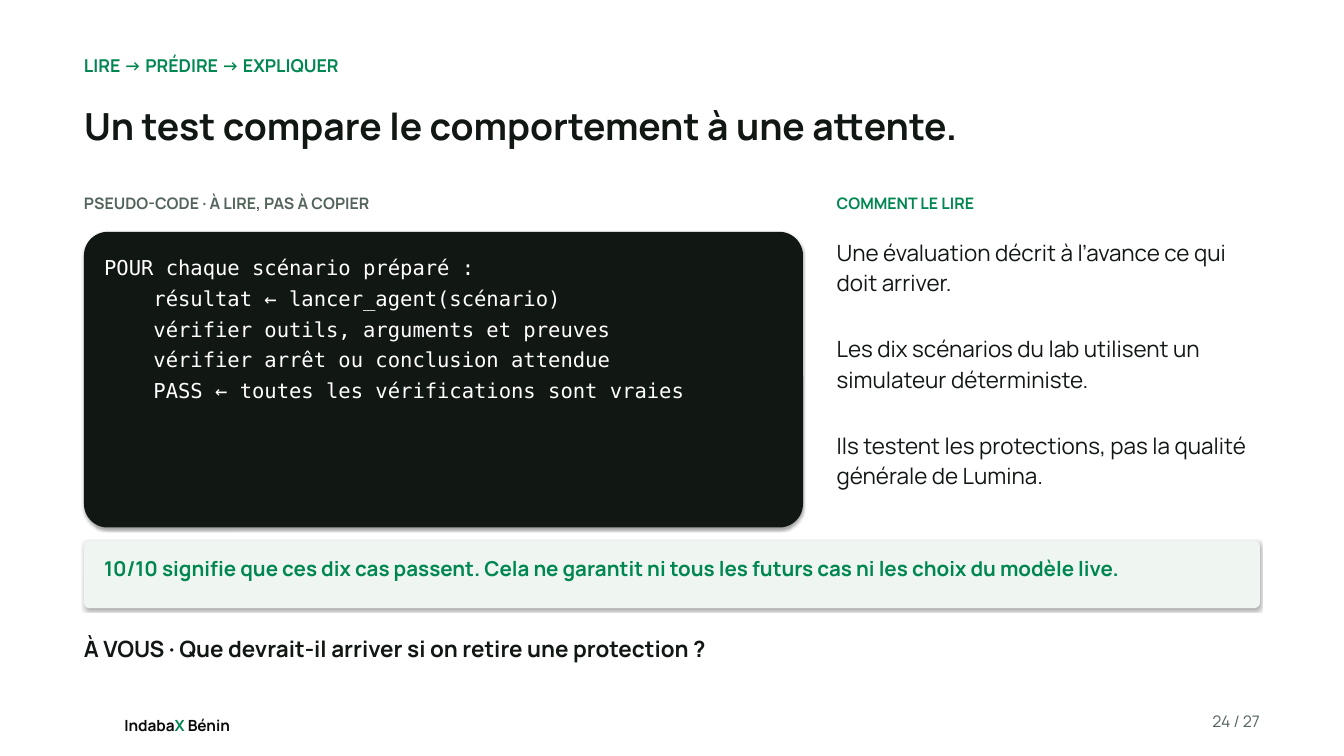
from lxml.etree import SubElement
from pptx import Presentation
from pptx.dml.color import RGBColor
from pptx.enum.shapes import MSO_SHAPE
from pptx.enum.text import MSO_ANCHOR, MSO_AUTO_SIZE, PP_ALIGN
from pptx.oxml.ns import qn
from pptx.util import Emu, Pt

PX = 9144  # 100 px to the inch
GREEN, INK, GREY, WHITE, BLACK = "008751", "111713", "53645A", "FFFFFF", "0A0A0A"
PALE_GREEN = "EFF6F1"

# Content
KICKER = "LIRE → PRÉDIRE → EXPLIQUER"
TITLE = "Un test compare le comportement à une attente."
CODE_LABEL = "PSEUDO-CODE · À LIRE, PAS À COPIER"
CODE = [
    "POUR chaque scénario préparé :",
    "    résultat ← lancer_agent(scénario)",
    "    vérifier outils, arguments et preuves",
    "    vérifier arrêt ou conclusion attendue",
    "    PASS ← toutes les vérifications sont vraies",
]
READING_LABEL = "COMMENT LE LIRE"
READING = [
    "Une évaluation décrit à l’avance ce qui doit arriver.",
    "Les dix scénarios du lab utilisent un simulateur déterministe.",
    "Ils testent les protections, pas la qualité générale de Lumina.",
]
CALLOUT = ("10/10 signifie que ces dix cas passent. Cela ne garantit ni tous les "
           "futurs cas ni les choix du modèle live.")
QUESTION = "À VOUS · Que devrait-il arriver si on retire une protection ?"
EVENT = [("Indaba", BLACK), ("X", GREEN), (" Bénin", BLACK)]
PAGE = "24 / 27"

# Layout
SLIDE_WIDTH, SLIDE_HEIGHT = 2000, 1125
LEFT, RIGHT = 125, 1875
WIDTH = RIGHT - LEFT
PADDING = 30
READING_LEFT = 1245
READING_WIDTH = RIGHT - READING_LEFT
CODE_BOX = (LEFT, 345, 1070, 440)
CALLOUT_BOX = (LEFT, 805, WIDTH, 100)


def rgb(color):
    return RGBColor.from_string(color)


def place(shape, box):
    shape.left, shape.top, shape.width, shape.height = (Emu(n * PX) for n in box)


def write(shape, paragraphs, *, size, color=INK, bold=False, font="Manrope",
          align=PP_ALIGN.LEFT, line_spacing=1.13, after=7):
    """Fill a shape with paragraphs, each a string or a list of (text, colour) runs."""
    frame = shape.text_frame
    frame.word_wrap = True
    frame.auto_size = MSO_AUTO_SIZE.NONE
    frame.vertical_anchor = MSO_ANCHOR.TOP
    frame.margin_left = frame.margin_top = frame.margin_right = frame.margin_bottom = 0
    for index, content in enumerate(paragraphs):
        paragraph = frame.paragraphs[0] if index == 0 else frame.add_paragraph()
        paragraph.alignment = align
        paragraph.line_spacing = line_spacing
        paragraph.space_before = Pt(0)
        paragraph.space_after = Pt(after)
        runs = [(content, color)] if isinstance(content, str) else content
        for text, run_color in runs:
            run = paragraph.add_run()
            run.text = text
            run.font.name = font
            run.font.size = Pt(size)
            run.font.bold = bold
            run.font.color.rgb = rgb(run_color)


def add_text(slide, box, paragraphs, **style):
    shape = slide.shapes.add_textbox(0, 0, 0, 0)
    place(shape, box)
    write(shape, paragraphs, **style)


def add_panel(slide, box, fill):
    shape = slide.shapes.add_shape(MSO_SHAPE.ROUNDED_RECTANGLE, 0, 0, 0, 0)
    place(shape, box)
    shape.adjustments[0] = 0.08
    shape.fill.solid()
    shape.fill.fore_color.rgb = rgb(fill)
    shape.line.fill.background()
    # Soft shadow straight below
    shape.shadow.inherit = False
    effects = shape._element.spPr.find(qn("a:effectLst"))
    shadow = SubElement(effects, qn("a:outerShdw"), blurRad=str(Pt(3.1)),
                        dist=str(Pt(1.8)), dir="5400000", rotWithShape="0")
    shadow_color = SubElement(shadow, qn("a:srgbClr"), val="000000")
    SubElement(shadow_color, qn("a:alpha"), val="35000")


def main():
    presentation = Presentation()
    presentation.slide_width = Emu(SLIDE_WIDTH * PX)
    presentation.slide_height = Emu(SLIDE_HEIGHT * PX)
    slide = presentation.slides.add_slide(presentation.slide_layouts[5])
    slide.background.fill.solid()
    slide.background.fill.fore_color.rgb = rgb(WHITE)

    # Heading
    add_text(slide, (LEFT, 78, WIDTH, 40), [KICKER], size=19, color=GREEN, bold=True)
    place(slide.shapes.title, (LEFT, 145, WIDTH, 135))
    write(slide.shapes.title, [TITLE], size=40, bold=True)

    # Pseudo-code
    add_text(slide, (LEFT, 285, 1080, 45), [CODE_LABEL], size=17, color=GREY, bold=True)
    add_panel(slide, CODE_BOX, INK)
    add_text(slide, (LEFT + PADDING, 375, 1010, 395), CODE, size=22, color=WHITE,
             font="DejaVu Sans Mono", after=3)

    # How to read it
    add_text(slide, (READING_LEFT, 285, READING_WIDTH, 45), [READING_LABEL],
             size=17, color=GREEN, bold=True)
    add_text(slide, (READING_LEFT, 350, READING_WIDTH, 450), READING, size=24, after=38.4)

    # Callout and question
    add_panel(slide, CALLOUT_BOX, PALE_GREEN)
    add_text(slide, (LEFT + PADDING, 823, WIDTH - 2 * PADDING, 78), [CALLOUT],
             size=22, color=GREEN, bold=True)
    add_text(slide, (LEFT, 940, WIDTH, 80), [QUESTION], size=24, bold=True)

    # Footer
    add_text(slide, (185, 1061, 173, 28), [EVENT], size=16.5, bold=True,
             line_spacing=Pt(23.1), after=0)
    add_text(slide, (RIGHT - 140, 1055, 140, 40), [PAGE], size=17, color=GREY,
             align=PP_ALIGN.RIGHT)

    presentation.save("out.pptx")


if __name__ == "__main__":
    main()
